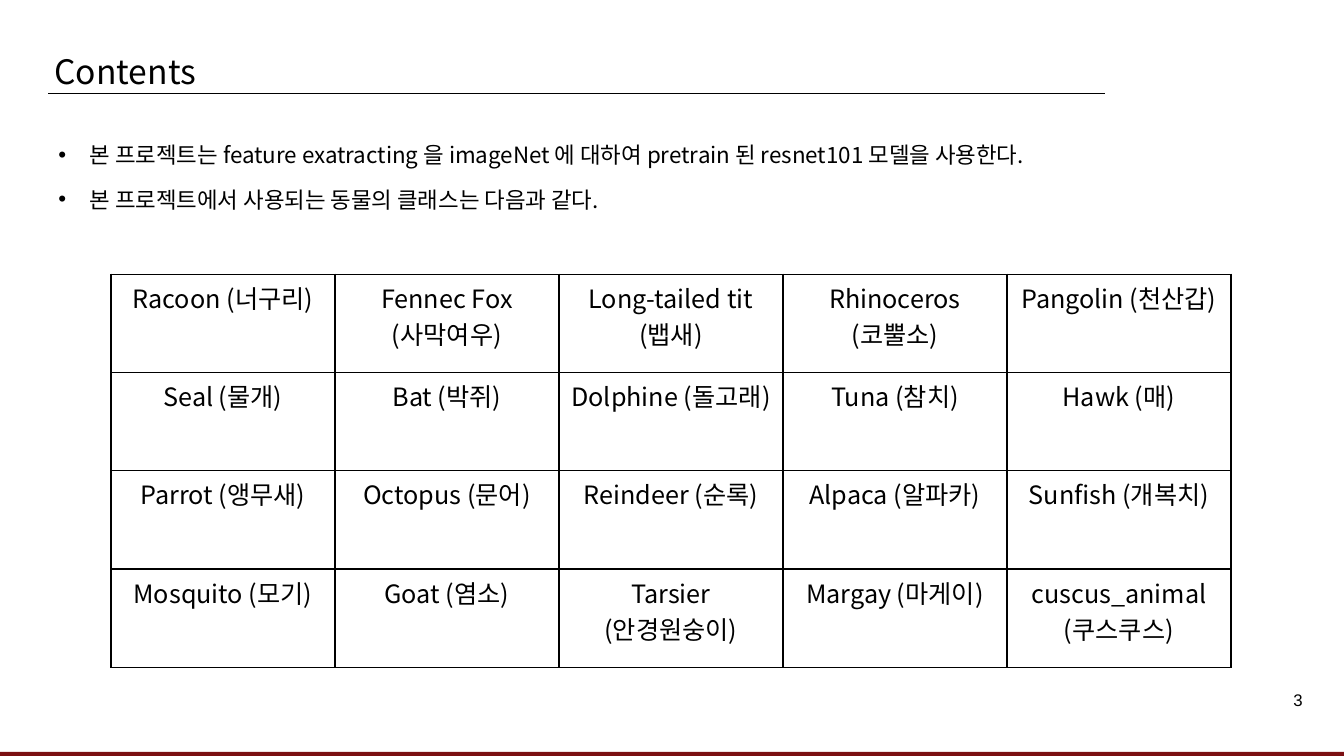
from lxml.etree import SubElement
from pptx import Presentation
from pptx.dml.color import RGBColor
from pptx.enum.shapes import MSO_CONNECTOR, MSO_SHAPE
from pptx.enum.text import MSO_ANCHOR, MSO_AUTO_SIZE, PP_ALIGN
from pptx.oxml.ns import qn
from pptx.util import Inches, Pt


def color(hex_value):
    return RGBColor.from_string(hex_value)


def format_runs(paragraph, size, font_name="Noto Sans CJK KR"):
    for run in paragraph.runs:
        run.font.size = Pt(size)
        run.font.name = font_name
        run.font.color.rgb = color("000000")
        SubElement(run.font._element, qn("a:ea"), typeface=font_name)


prs = Presentation()
prs.slide_width = Inches(13.33)
prs.slide_height = Inches(7.5)
slide = prs.slides.add_slide(prs.slide_layouts[1])

heading = slide.shapes.title
heading.left, heading.top = Inches(0.54), Inches(0.5)
heading.width, heading.height = Inches(5.44), Inches(0.4)
heading_frame = heading.text_frame
heading_frame.text = "Contents"
heading_frame.auto_size = MSO_AUTO_SIZE.NONE
heading_frame.vertical_anchor = MSO_ANCHOR.TOP
heading_frame.margin_left = heading_frame.margin_right = 0
heading_frame.margin_top = heading_frame.margin_bottom = 0
heading_frame.paragraphs[0].alignment = PP_ALIGN.LEFT
format_runs(heading_frame.paragraphs[0], 24)

heading_rule = slide.shapes.add_connector(
    MSO_CONNECTOR.STRAIGHT, Inches(0.48), Inches(0.93), Inches(10.96), Inches(0.93)
)
heading_rule.line.color.rgb = color("000000")
heading_rule.line.width = Pt(0.5)
SubElement(heading_rule._element.spPr, qn("a:effectLst"))

page_number = slide.shapes.add_textbox(Inches(12.76), Inches(6.8), Inches(0.21), Inches(0.29))
page_frame = page_number.text_frame
page_frame.text = "3"
page_frame.word_wrap = False
page_frame.vertical_anchor = MSO_ANCHOR.MIDDLE
page_frame.margin_left = page_frame.margin_right = Inches(0.05)
page_frame.margin_top = page_frame.margin_bottom = Inches(0.05)
page_frame.paragraphs[0].alignment = PP_ALIGN.RIGHT
format_runs(page_frame.paragraphs[0], 12, "Arial")

statements = [
    "본 프로젝트는 feature exatracting 을 imageNet 에 대하여 pretrain 된 resnet101 모델을 사용한다.",
    "본 프로젝트에서 사용되는 동물의 클래스는 다음과 같다.",
]
overview = slide.placeholders[1]
overview.left, overview.top = Inches(0.53), Inches(1.17)
overview.width, overview.height = Inches(11.23), Inches(1.1)
overview_frame = overview.text_frame
overview_frame.text = "\n".join(statements)
overview_frame.auto_size = MSO_AUTO_SIZE.NONE
overview_frame.vertical_anchor = MSO_ANCHOR.TOP
overview_frame.margin_left = overview_frame.margin_right = Inches(0.05)
overview_frame.margin_top = overview_frame.margin_bottom = Inches(0.05)
for statement in overview_frame.paragraphs:
    statement.line_spacing = 1.67
    statement.space_before = Pt(0)
    properties = statement._p.get_or_add_pPr()
    properties.set("marL", str(Inches(0.31)))
    properties.set("indent", str(-Inches(0.31)))
    SubElement(properties, qn("a:buFont"), typeface="Arial")
    SubElement(properties, qn("a:buChar"), char="•")
    format_runs(statement, 16)

footer_bar = slide.shapes.add_shape(
    MSO_SHAPE.RECTANGLE, 0, Inches(7.46), prs.slide_width, Inches(0.04)
)
footer_bar.shadow.inherit = False
footer_bar.fill.solid()
footer_bar.fill.fore_color.rgb = color("7B0F12")
footer_bar.line.fill.background()

animals = [
    ["Racoon (너구리)", "Fennec Fox (사막여우)", "Long-tailed tit (뱁새)", "Rhinoceros (코뿔소)", "Pangolin (천산갑)"],
    ["Seal (물개)", "Bat (박쥐)", "Dolphine (돌고래)", "Tuna (참치)", "Hawk (매)"],
    ["Parrot (앵무새)", "Octopus (문어)", "Reindeer (순록)", "Alpaca (알파카)", "Sunfish (개복치)"],
    ["Mosquito (모기)", "Goat (염소)", "Tarsier (안경원숭이)", "Margay (마게이)", "cuscus_animal (쿠스쿠스)"],
]
animal_table = slide.shapes.add_table(
    len(animals), len(animals[0]), Inches(1.1), Inches(2.72), Inches(11.11), Inches(3.9)
).table
animal_table.first_row = False
animal_table.horz_banding = False
for row, names in enumerate(animals):
    for column, name in enumerate(names):
        cell = animal_table.cell(row, column)
        cell.text = name
        cell.text_frame.paragraphs[0].alignment = PP_ALIGN.CENTER
        format_runs(cell.text_frame.paragraphs[0], 18)
        cell_properties = cell._tc.get_or_add_tcPr()
        for side in ("a:lnL", "a:lnR", "a:lnT", "a:lnB"):
            border = SubElement(cell_properties, qn(side), w=str(Pt(1)))
            border_fill = SubElement(border, qn("a:solidFill"))
            SubElement(border_fill, qn("a:srgbClr"), val="000000")
        cell.fill.background()

prs.save("out.pptx")
